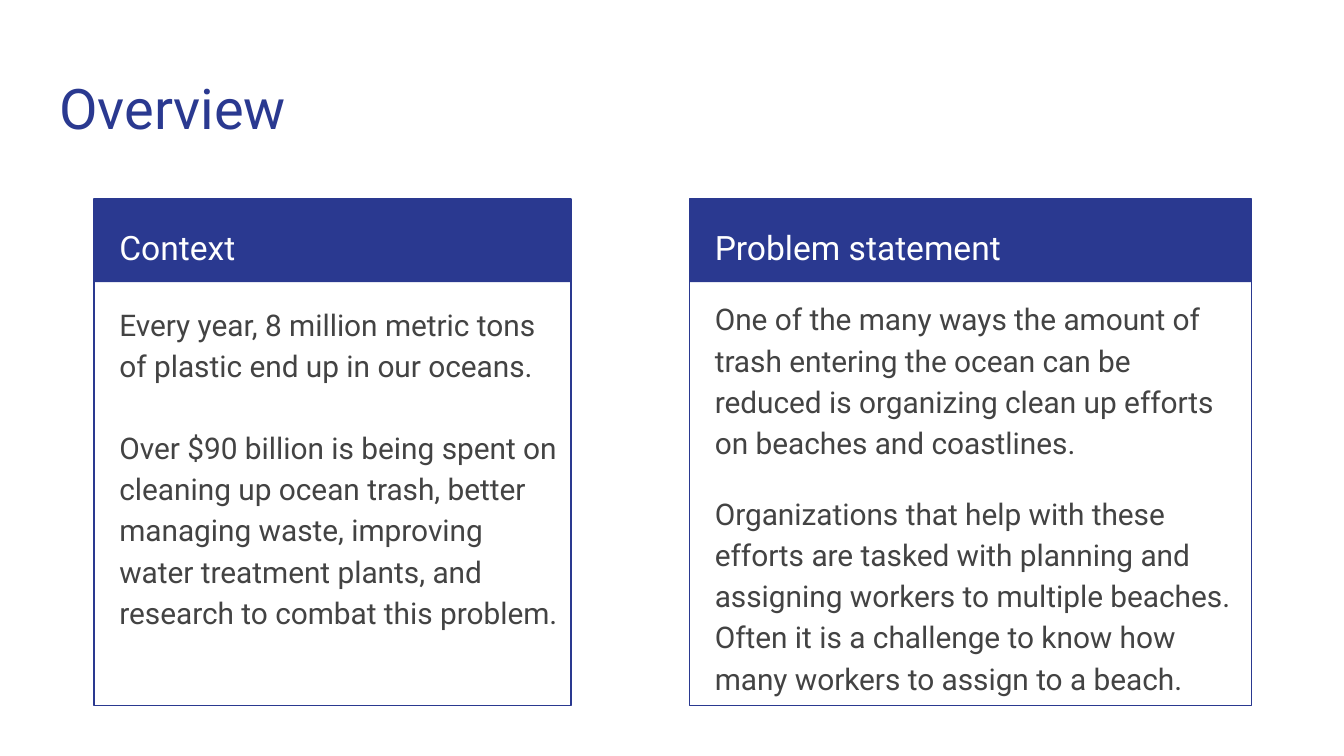
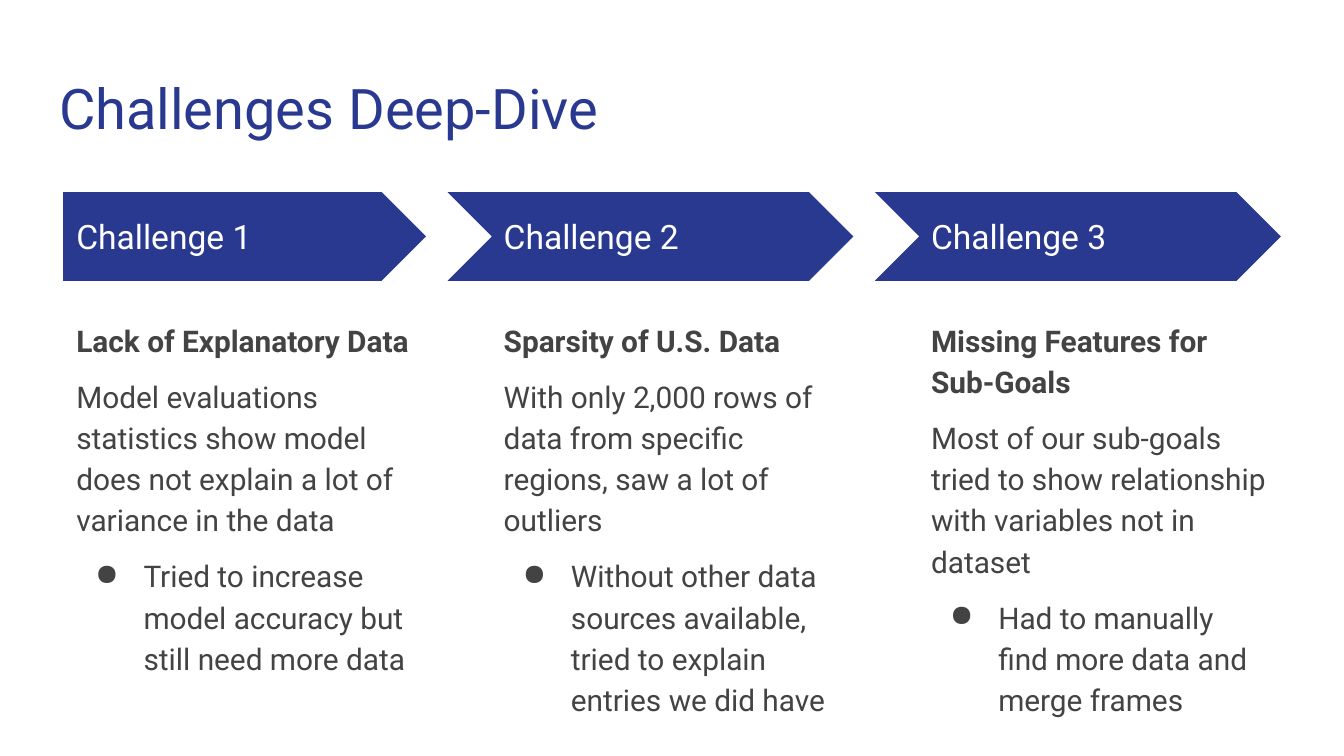
import dataclasses

import lxml.etree
import pptx
import pptx.dml.color
import pptx.enum.shapes
import pptx.enum.text
import pptx.oxml.ns
import pptx.util

COLUMNS, ROWS = 100, 56.25
CELL = pptx.util.Inches(0.1)
NAVY, GREY, WHITE = "2A3990", "434343", "FFFFFF"
SHAPES = pptx.enum.shapes.MSO_SHAPE
ANCHOR = pptx.enum.text.MSO_ANCHOR

TITLE = {"size": 30, "color": NAVY}
HEADING = {"size": 18, "color": WHITE}
BODY = {"size": 16, "color": GREY, "line_spacing": 1.15}
LEAD = {**BODY, "bold": True}
DETAIL = {**BODY, "space_before": 8}
BULLET = {**DETAIL, "bullet": "●"}


@dataclasses.dataclass
class Box:
    """An area of the slide, in grid columns and rows."""

    left: float
    top: float
    width: float
    height: float

    def area(self, left, top, width, height):
        """Return an area placed from this box's top left corner."""
        return Box(self.left + left, self.top + top, width, height)

    def lengths(self):
        """Return left, top, width and height as slide lengths."""
        return [round(n * CELL) for n in (self.left, self.top, self.width, self.height)]


PANELS = [
    (
        Box(7, 14.8, 35.5, 37.7),
        "Context",
        6.6,
        22,
        [
            "Every year, 8 million metric tons of plastic end up in our oceans.",
            "Over $90 billion is being spent on cleaning up ocean trash, better managing "
            "waste, improving water treatment plants, and research to combat this problem.",
        ],
    ),
    (
        Box(51.3, 14.8, 41.8, 37.7),
        "Problem statement",
        6.2,
        16,
        [
            "One of the many ways the amount of trash entering the ocean can be reduced is "
            "organizing clean up efforts on beaches and coastlines.",
            "Organizations that help with these efforts are tasked with planning and "
            "assigning workers to multiple beaches. Often it is a challenge to know how "
            "many workers to assign to a beach.",
        ],
    ),
]

CHALLENGES = [
    (
        "Lack of Explanatory Data",
        "Model evaluations statistics show model does not explain a lot of variance in the data",
        "Tried to increase model accuracy but still need more data",
    ),
    (
        "Sparsity of U.S. Data",
        "With only 2,000 rows of data from specific regions, saw a lot of outliers",
        "Without other data sources available, tried to explain entries we did have",
    ),
    (
        "Missing Features for Sub-Goals",
        "Most of our sub-goals tried to show relationship with variables not in dataset",
        "Had to manually find more data and merge frames",
    ),
]


def rgb(value):
    """Turn a hex string into a colour."""
    return pptx.dml.color.RGBColor.from_string(value)


def set_values(target, values):
    """Set each named attribute of the target."""
    for name, value in values.items():
        setattr(target, name, value)


def add_bullet(para, mark, color):
    """Give a paragraph a hanging bullet."""
    qn = pptx.oxml.ns.qn
    props = para._p.get_or_add_pPr()
    props.set("marL", str(pptx.util.Inches(0.5)))
    props.set("indent", str(-pptx.util.Inches(0.36)))
    tint = lxml.etree.SubElement(props, qn("a:buClr"))
    lxml.etree.SubElement(tint, qn("a:srgbClr"), val=color)
    lxml.etree.SubElement(props, qn("a:buChar"), char=mark)


def write(frame, paragraphs, anchor=ANCHOR.TOP):
    """Fill a text frame with pairs of text and style."""
    set_values(frame, {
        "word_wrap": True,
        "auto_size": pptx.enum.text.MSO_AUTO_SIZE.NONE,
        "vertical_anchor": anchor,
        **{f"margin_{side}": CELL for side in ("left", "top", "right", "bottom")},
    })
    for index, (text, style) in enumerate(paragraphs):
        para = frame.add_paragraph() if index else frame.paragraphs[0]
        set_values(para, {
            "alignment": pptx.enum.text.PP_ALIGN.LEFT,
            "line_spacing": style.get("line_spacing", 1.0),
            "space_before": pptx.util.Pt(style.get("space_before", 0)),
        })
        if "bullet" in style:
            add_bullet(para, style["bullet"], style["color"])
        span = para.add_run()
        span.text = text
        set_values(span.font, {
            "name": "Roboto",
            "size": pptx.util.Pt(style["size"]),
            "bold": style.get("bold", False),
        })
        span.font.color.rgb = rgb(style["color"])


def add_text(page, box, paragraphs, anchor=ANCHOR.TOP):
    """Add a text box holding styled paragraphs."""
    frame = page.shapes.add_textbox(*box.lengths()).text_frame
    write(frame, paragraphs, anchor)


def add_block(shapes, kind, box, filled=True):
    """Add a navy shape, either solid or outlined."""
    block = shapes.add_shape(kind, *box.lengths())
    block.shadow.inherit = False
    if filled:
        block.fill.solid()
        block.fill.fore_color.rgb = rgb(NAVY)
        block.line.fill.background()
    else:
        block.fill.background()
        block.line.color.rgb = rgb(NAVY)
        block.line.width = pptx.util.Pt(0.75)


def add_page(deck, title):
    """Add a title-only slide with the shared title style."""
    page = deck.slides.add_slide(deck.slide_layouts[5])
    lengths = Box(3.4, 4.5, 93.2, 6.6).lengths()
    set_values(page.shapes.title, dict(zip(("left", "top", "width", "height"), lengths)))
    write(page.shapes.title.text_frame, [(title, TITLE)])
    return page


def add_panel(page, box, heading, body_top, gap, texts):
    """Add an outlined panel with a heading band and body text."""
    group = page.shapes.add_group_shape()
    add_block(group.shapes, SHAPES.RECTANGLE, box, filled=False)
    add_block(group.shapes, SHAPES.RECTANGLE, box.area(0, 0, box.width, 6.2))
    heading_box = box.area(0.9, 0.6, 33.6, 6.2)
    add_text(page, heading_box, [(heading, {**HEADING, "line_spacing": 1.15})])
    body_box = box.area(0.9, body_top, box.width - 0.9, box.height - body_top - 1.4)
    spaces = [0] + [gap] * (len(texts) - 1)
    styles = [{**BODY, "space_before": space} for space in spaces]
    add_text(page, body_box, zip(texts, styles))


def add_challenge(page, box, number, texts):
    """Add an arrow with its heading and the text below it."""
    first = number == 1
    kind = SHAPES.PENTAGON if first else SHAPES.CHEVRON
    notch = 0 if first else 3.2
    add_block(page.shapes, kind, box.area(-notch, 0, box.width + notch, 6.6))
    heading_box = box.area(0, 1.6, 24.7, 3.4)
    add_text(page, heading_box, [(f"Challenge {number}", HEADING)], ANCHOR.MIDDLE)
    body_box = box.area(0, 8.3, box.width, box.height - 8.3)
    add_text(page, body_box, zip(texts, (LEAD, DETAIL, BULLET)))


def build_overview(deck):
    """Build the slide with two panels."""
    page = add_page(deck, "Overview")
    for panel in PANELS:
        add_panel(page, *panel)


def build_challenges(deck):
    """Build the slide with a row of challenge arrows."""
    page = add_page(deck, "Challenges Deep-Dive")
    first, pitch = Box(4.7, 14.3, 27, 37.3), 31.8
    for index, texts in enumerate(CHALLENGES):
        box = first.area(index * pitch, 0, first.width, first.height)
        add_challenge(page, box, index + 1, texts)


def main():
    """Build and save the deck."""
    deck = pptx.Presentation()
    deck.slide_width = round(COLUMNS * CELL)
    deck.slide_height = round(ROWS * CELL)
    build_overview(deck)
    build_challenges(deck)
    deck.save("out.pptx")


if __name__ == "__main__":
    main()
